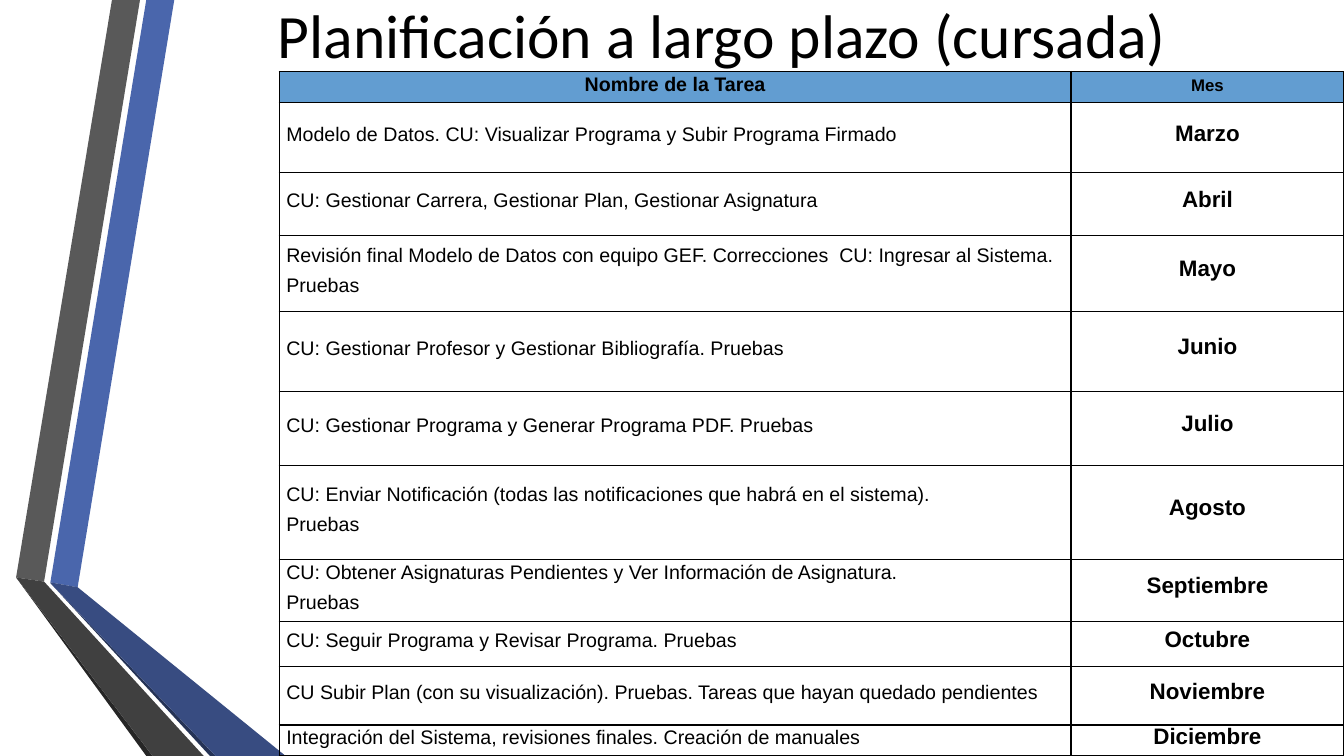
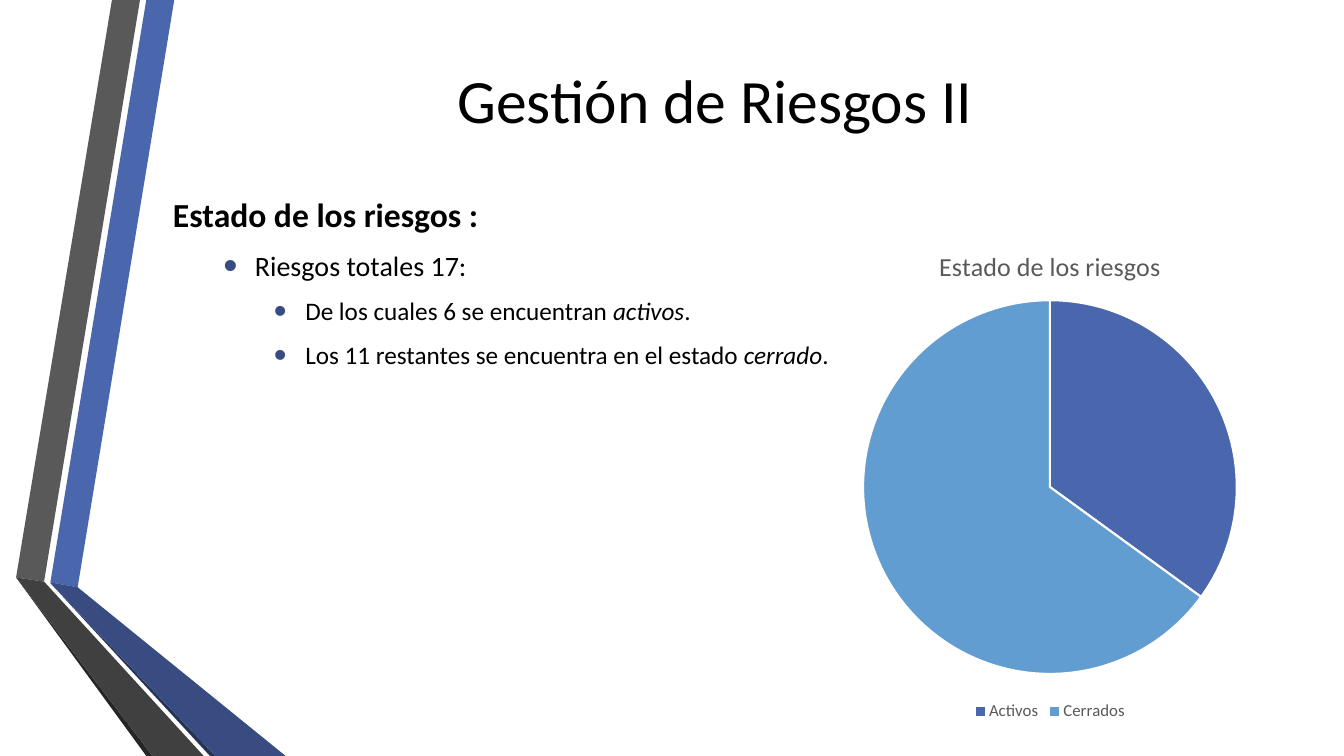
from lxml.etree import SubElement
from pptx import Presentation
from pptx.chart.data import CategoryChartData
from pptx.dml.color import RGBColor
from pptx.enum.chart import XL_CHART_TYPE as ChartType, XL_LEGEND_POSITION as LegendPosition
from pptx.enum.text import MSO_ANCHOR as Anchor, PP_ALIGN as Align
from pptx.oxml import parse_xml
from pptx.oxml.ns import nsdecls, qn
from pptx.util import Pt

COLORS = {
    "text": "000000", "muted": "595959", "white": "FFFFFF",
    "blue": "4A66AC", "blue_dark": "384C81", "blue_edge": "253356",
    "gray": "595959", "gray_dark": "404040", "gray_edge": "262626",
    "sky": "629DD1",
}
HEADING_FONT, TABLE_FONT = "Calibri", "Arial"
SLIDE_WIDTH, SLIDE_HEIGHT = 960, 540

# Folded ribbons at the left edge, from back to front
RIBBONS = [
    ("blue", [(36, 416), (55.5, 419.5), (124.5, 0), (104.5, 0)]),
    ("gray", [(100, 0), (80, 0), (11.5, 412.5), (31.5, 415.5)]),
    ("gray_edge", [(11.5, 412.5), (104.5, 540), (109, 540)]),
    ("blue_edge", [(36, 416.5), (150, 540), (154, 540)]),
    ("blue_dark", [(36, 416.5), (154, 540), (204, 540), (55.5, 419.5), (36, 416)]),
    ("gray_dark", [(145.5, 540), (31.5, 415.5), (11.5, 412.5), (109, 540)]),
]

# Row height, task paragraphs, month
SCHEDULE = [
    (49.5, ["Modelo de Datos. CU: Visualizar Programa y Subir Programa Firmado"], "Marzo"),
    (45, ["CU: Gestionar Carrera, Gestionar Plan, Gestionar Asignatura"], "Abril"),
    (54.5, ["Revisión final Modelo de Datos con equipo GEF. Correcciones  CU: Ingresar al Sistema.",
            "Pruebas"], "Mayo"),
    (57, ["CU: Gestionar Profesor y Gestionar Bibliografía. Pruebas"], "Junio"),
    (53, ["CU: Gestionar Programa y Generar Programa PDF. Pruebas"], "Julio"),
    (67, ["CU: Enviar Notificación (todas las notificaciones que habrá en el sistema).",
          "Pruebas"], "Agosto"),
    (44.5, ["CU: Obtener Asignaturas Pendientes y Ver Información de Asignatura.",
            "Pruebas"], "Septiembre"),
    (32, ["CU: Seguir Programa y Revisar Programa. Pruebas"], "Octubre"),
    (42, ["CU Subir Plan (con su visualización). Pruebas. Tareas que hayan quedado pendientes"],
     "Noviembre"),
    (22, ["Integración del Sistema, revisiones finales. Creación de manuales"], "Diciembre"),
]
HEADER_HEIGHT = 22.5

RISK_STATES = [("Activos", 35, "blue"), ("Cerrados", 65, "sky")]


def rgb(name):
    return RGBColor.from_string(COLORS[name])


def box_in_points(box):
    return [Pt(length) for length in box]


def style_font(font, size, face=HEADING_FONT, color="text", bold=False, italic=False):
    font.name, font.size, font.bold, font.italic = face, Pt(size), bold, italic
    font.color.rgb = rgb(color)


def write(paragraph, text, *, align=Align.LEFT, before=0, after=0, line=None,
          margin=0, hanging=0, bullet=None, **font):
    """Append a run to the paragraph and set the paragraph's format."""
    run = paragraph.add_run()
    run.text = text
    style_font(run.font, **font)
    paragraph.alignment = align
    paragraph.space_before, paragraph.space_after = Pt(before), Pt(after)
    if line:
        paragraph.line_spacing = Pt(line)
    properties = paragraph._p.get_or_add_pPr()
    properties.set("marL", str(Pt(margin)))
    properties.set("indent", str(Pt(-hanging)))
    if bullet:
        color = SubElement(properties, qn("a:buClr"))
        SubElement(color, qn("a:srgbClr"), val=COLORS[bullet])
        SubElement(properties, qn("a:buSzPct"), val="145000")
        SubElement(properties, qn("a:buFont"), typeface="Arial")
        SubElement(properties, qn("a:buChar"), char="•")


def add_frame(slide, box):
    frame = slide.shapes.add_textbox(*box_in_points(box)).text_frame
    frame.word_wrap = True
    frame.vertical_anchor = Anchor.MIDDLE
    return frame


def add_ribbons(slide):
    for color, outline in RIBBONS:
        start, *rest = [(Pt(x), Pt(y)) for x, y in outline]
        builder = slide.shapes.build_freeform(*start)
        builder.add_line_segments(rest, close=True)
        ribbon = builder.convert_to_shape()
        ribbon.shadow.inherit = False
        ribbon.fill.solid()
        ribbon.fill.fore_color.rgb = rgb(color)
        ribbon.line.fill.background()


def add_titled_slide(deck, title, title_box):
    slide = deck.slides.add_slide(deck.slide_layouts[6])
    add_ribbons(slide)
    frame = add_frame(slide, title_box)
    write(frame.paragraphs[0], title, size=44, align=Align.CENTER)
    return slide


def add_borders(cell):
    properties = cell._tc.get_or_add_tcPr()
    for position, side in enumerate(("lnL", "lnR", "lnT", "lnB")):
        properties.insert(position, parse_xml(
            f'<a:{side} {nsdecls("a")} w="{Pt(1)}"><a:solidFill>'
            f'<a:srgbClr val="{COLORS["text"]}"/></a:solidFill></a:{side}>'))


def fill_cell(cell, paragraphs, fill=None, **style):
    cell.margin_left = cell.margin_right = Pt(5)
    cell.margin_top = cell.margin_bottom = 0
    cell.vertical_anchor = Anchor.MIDDLE
    if fill:
        cell.fill.solid()
        cell.fill.fore_color.rgb = rgb(fill)
    else:
        cell.fill.background()
    add_borders(cell)
    frame = cell.text_frame
    for index, text in enumerate(paragraphs):
        paragraph = frame.add_paragraph() if index else frame.paragraphs[0]
        write(paragraph, text, face=TABLE_FONT, line=12, before=10,
              margin=18, hanging=18, **style)


def add_schedule(slide, box, month_width):
    heights = [HEADER_HEIGHT] + [height for height, _, _ in SCHEDULE]
    table = slide.shapes.add_table(len(heights), 2, *box_in_points(box)).table
    table.first_row = table.horz_banding = False
    table.columns[0].width = Pt(box[2] - month_width)
    table.columns[1].width = Pt(month_width)
    for row, height in zip(table.rows, heights):
        row.height = Pt(height)

    centered = dict(align=Align.CENTER, bold=True)
    fill_cell(table.cell(0, 0), ["Nombre de la Tarea"], fill="sky", size=14, **centered)
    fill_cell(table.cell(0, 1), ["Mes"], fill="sky", size=12, **centered)
    for number, (_, tasks, month) in enumerate(SCHEDULE, start=1):
        fill_cell(table.cell(number, 0), tasks, size=14)
        fill_cell(table.cell(number, 1), [month], size=16, **centered)


def add_risk_summary(slide, box):
    frame = add_frame(slide, box)
    heading, total, active, closed = [frame.paragraphs[0]] + [
        frame.add_paragraph() for _ in range(3)]
    write(heading, "Estado de los riesgos :", size=24, bold=True, before=4.8, after=6)
    bulleted = dict(hanging=22.5, bullet="blue_dark", after=6)
    write(total, "Riesgos totales 17:", size=20, before=4, margin=58.5, **bulleted)
    for paragraph, lead, state in (
            (active, "De los cuales 6 se encuentran ", "activos"),
            (closed, "Los 11 restantes se encuentra en el estado ", "cerrado")):
        detail = dict(size=18, before=3.6, after=6, margin=94.5, hanging=22.5)
        write(paragraph, lead, bullet="blue_dark", **detail)
        write(paragraph, state, italic=True, **detail)
        write(paragraph, ".", **detail)


def place_pie(chart, box, diameter, top):
    """Fix the pie, centred across the chart box, at a distance from its top."""
    _, _, width, height = box
    fractions = {"x": (width - diameter) / 2 / width, "y": top / height,
                 "w": diameter / width, "h": diameter / height}
    plot_area = chart._chartSpace.chart.plotArea
    for layout in plot_area.findall(qn("c:layout")):
        plot_area.remove(layout)
    values = "".join(f'<c:{key} val="{value:.3f}"/>' for key, value in fractions.items())
    plot_area.insert(0, parse_xml(
        f'<c:layout {nsdecls("c")}><c:manualLayout><c:layoutTarget val="inner"/>'
        f'<c:xMode val="edge"/><c:yMode val="edge"/>{values}</c:manualLayout></c:layout>'))


def add_risk_chart(slide, box):
    states, shares, colors = zip(*RISK_STATES)
    data = CategoryChartData()
    data.categories = states
    data.add_series("Series 1", shares)
    chart = slide.shapes.add_chart(ChartType.PIE, *box_in_points(box), data).chart
    style_font(chart.font, 10)

    chart.has_title = True
    write(chart.chart_title.text_frame.paragraphs[0], "Estado de los riesgos",
          size=18.6, color="muted", align=Align.CENTER)
    chart.chart_title.include_in_layout = False

    chart.has_legend = True
    chart.legend.position = LegendPosition.BOTTOM
    chart.legend.include_in_layout = False
    style_font(chart.legend.font, 12, color="muted")

    pie = chart.plots[0]
    pie.vary_by_categories = True
    for index, color in enumerate(colors):
        slice_format = pie.series[0].points[index].format
        slice_format.fill.solid()
        slice_format.fill.fore_color.rgb = rgb(color)
        slice_format.line.color.rgb = rgb("white")
        slice_format.line.width = Pt(1.5)
    place_pie(chart, box, diameter=267, top=51.5)


def build_planning(deck):
    slide = add_titled_slide(deck, "Planificación a largo plazo (cursada)",
                             (121.5, -27, 789, 103))
    add_schedule(slide, (199.5, 51, 760.5, 489), month_width=195)


def build_risks(deck):
    slide = add_titled_slide(deck, "Gestión de Riesgos II", (116.5, 1.5, 789, 138))
    add_risk_summary(slide, (116.5, 48, 789, 307))
    add_risk_chart(slide, (544, 163, 412, 355))


def main():
    deck = Presentation()
    deck.slide_width, deck.slide_height = Pt(SLIDE_WIDTH), Pt(SLIDE_HEIGHT)
    build_planning(deck)
    build_risks(deck)
    deck.save("out.pptx")


if __name__ == "__main__":
    main()
